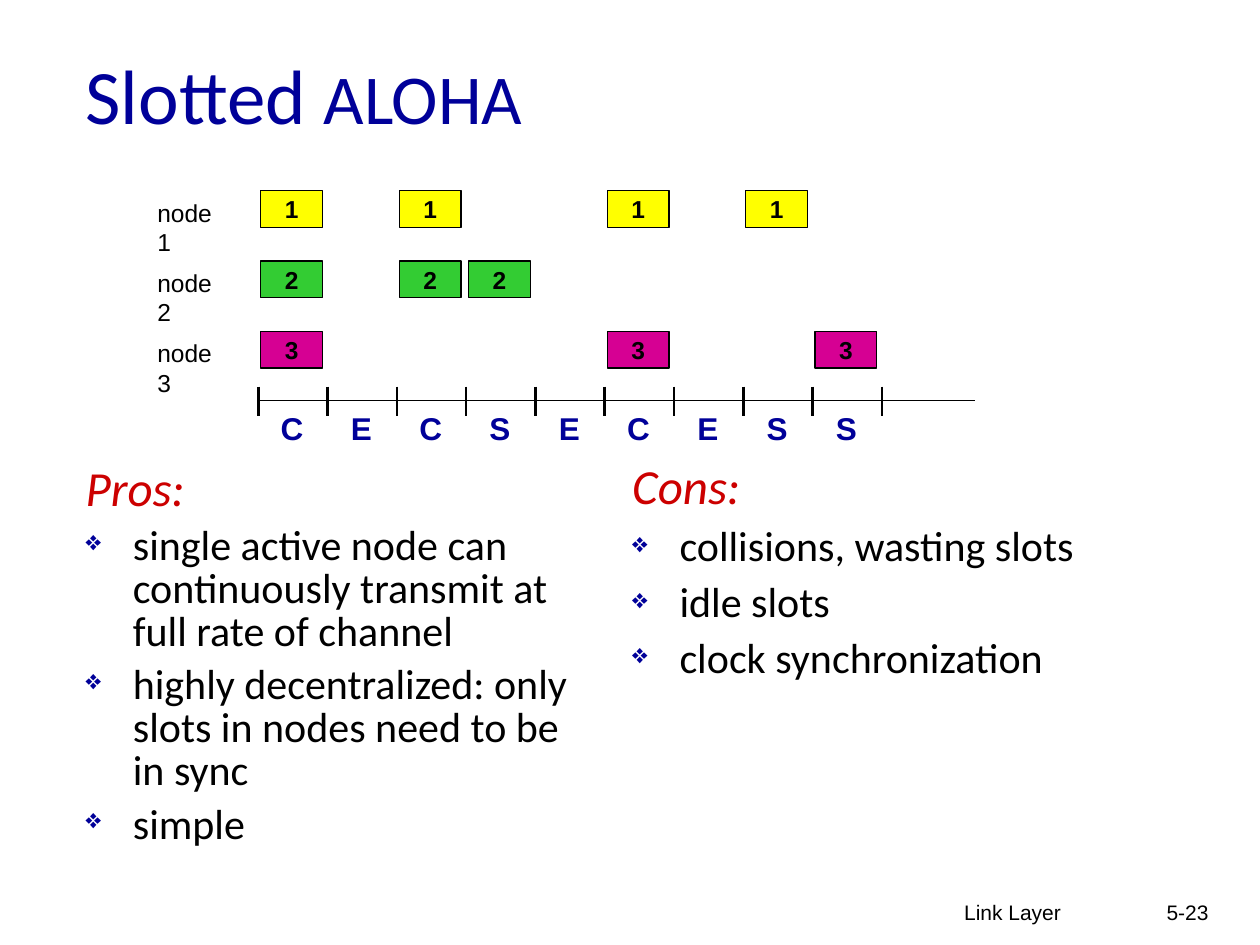
import pptx
import pptx.dml.color
import pptx.enum.shapes
import pptx.enum.text
import pptx.oxml.ns
import pptx.util
from lxml import etree

Pt = pptx.util.Pt
ALIGN = pptx.enum.text.PP_ALIGN
ANCHOR = pptx.enum.text.MSO_ANCHOR

COLORS = {
    "ink": "000000",
    "navy": "000099",
    "red": "CC0000",
    "node 1": "FFFF00",
    "node 2": "33CC33",
    "node 3": "D60093",
}

# Slots in which each node sends, and the outcome of every slot
SENDING = {"node 1": [0, 2, 5, 7], "node 2": [0, 2, 3], "node 3": [0, 5, 8]}
OUTCOMES = "CECSECESS"

PROS = [
    "single active node can continuously transmit at full rate of channel",
    "highly decentralized: only slots in nodes need to be in sync",
    "simple",
]
CONS = ["collisions, wasting slots", "idle slots", "clock synchronization"]


def color(name):
    return pptx.dml.color.RGBColor.from_string(COLORS[name])


def add_span(para, text, size, name, font="Arial", bold=False, italic=False):
    span = para.add_run()
    span.text = text
    span.font.name = font
    span.font.size = Pt(size)
    span.font.bold = bold
    span.font.italic = italic
    span.font.color.rgb = color(name)


def add_box(page, left, top, width, height, align=ALIGN.LEFT, anchor=ANCHOR.TOP, wrap=True):
    box = page.shapes.add_textbox(Pt(left), Pt(top), Pt(width), Pt(height))
    box.text_frame.word_wrap = wrap
    box.text_frame.vertical_anchor = anchor
    box.text_frame.paragraphs[0].alignment = align
    return box


def add_line(page, x1, y1, x2, y2, weight):
    line = page.shapes.add_connector(
        pptx.enum.shapes.MSO_CONNECTOR.STRAIGHT, Pt(x1), Pt(y1), Pt(x2), Pt(y2))
    line.line.color.rgb = color("ink")
    line.line.width = Pt(weight)
    etree.SubElement(line._element.spPr, pptx.oxml.ns.qn("a:effectLst"))


def add_bullet(para):
    qn = pptx.oxml.ns.qn
    props = para._p.get_or_add_pPr()
    props.set("marL", str(Pt(27)))
    props.set("indent", str(-Pt(27)))
    tint = etree.SubElement(props, qn("a:buClr"))
    etree.SubElement(tint, qn("a:srgbClr"), val=COLORS["navy"])
    etree.SubElement(props, qn("a:buSzPct"), val="65000")
    etree.SubElement(props, qn("a:buChar"), char="❖")


def add_title(page, left, top, width, height):
    box = add_box(page, left, top, width, height, anchor=ANCHOR.MIDDLE)
    para = box.text_frame.paragraphs[0]
    add_span(para, "Slotted ", 44, "navy", "Calibri")
    add_span(para, "ALOHA", 40, "navy", "Calibri")


def add_packet(page, left, top, node):
    packet = page.shapes.add_shape(
        pptx.enum.shapes.MSO_SHAPE.RECTANGLE, Pt(left), Pt(top), Pt(35.3), Pt(20.9))
    packet.shadow.inherit = False
    packet.fill.solid()
    packet.fill.fore_color.rgb = color(node)
    packet.line.color.rgb = color("ink")
    packet.line.width = Pt(0.75)
    frame = packet.text_frame
    frame.margin_top = frame.margin_bottom = 0
    frame.vertical_anchor = ANCHOR.MIDDLE
    para = frame.paragraphs[0]
    para.alignment = ALIGN.CENTER
    add_span(para, node[-1], 14, "ink", bold=True)


def add_timeline(page, left, top, width, height):
    label_width, slot, row_pitch = 64.8, 39.6, 40.2
    axis_left, axis_top = left + label_width, top + height - 38.5

    # One row of packets per node
    for row, (node, slots) in enumerate(SENDING.items()):
        row_top = top + row * row_pitch
        label = add_box(page, left, row_top + 0.4, 57, 24.5, wrap=False)
        add_span(label.text_frame.paragraphs[0], node, 14, "ink")
        for index in slots:
            add_packet(page, axis_left + index * slot + 1.4, row_top, node)

    # Time axis with slot borders
    add_line(page, axis_left, axis_top, left + width, axis_top, 0.75)
    for index in range(len(OUTCOMES) + 1):
        x = axis_left + index * slot
        add_line(page, x, axis_top - 8, x, axis_top + 9, 1.5)

    # Outcome below each slot
    for index, outcome in enumerate(OUTCOMES):
        box = add_box(page, axis_left + index * slot - 0.5, axis_top + 1.2,
                      slot, 28.8, ALIGN.CENTER, wrap=False)
        add_span(box.text_frame.paragraphs[0], outcome, 18, "navy", bold=True)


def add_list(page, left, top, width, height, heading, items, spacing):
    frame = add_box(page, left, top, width, height).text_frame
    para = frame.paragraphs[0]
    para.line_spacing = spacing
    add_span(para, heading, 28, "red", "Calibri", italic=True)
    for item in items:
        para = frame.add_paragraph()
        add_bullet(para)
        para.line_spacing = spacing
        para.space_before = Pt(6)
        add_span(para, item, 24, "ink", "Calibri")


def add_footer(page, left, top, width, height):
    number_width = 53.3
    parts = [
        ("Link Layer", left, width - number_width + 22.3 - 0.0 - 53.3),
        ("5-23", left + width - number_width, number_width),
    ]
    for text, part_left, part_width in parts:
        box = add_box(page, part_left, top, part_width, height, ALIGN.RIGHT)
        add_span(box.text_frame.paragraphs[0], text, 12, "ink")


def main():
    deck = pptx.Presentation()
    deck.slide_width, deck.slide_height = Pt(720), Pt(540)
    page = deck.slides.add_slide(deck.slide_layouts[6])
    add_footer(page, 438.5, 510.5, 259.2, 36)
    add_list(page, 41.8, 262.8, 300, 252, "Pros:", PROS, 0.85)
    add_list(page, 354.2, 260.6, 300, 252, "Cons:", CONS, 0.9)
    add_title(page, 41.8, 8.6, 390, 90)
    add_timeline(page, 82.8, 109, 474.5, 158.5)
    deck.save("out.pptx")


if __name__ == "__main__":
    main()
